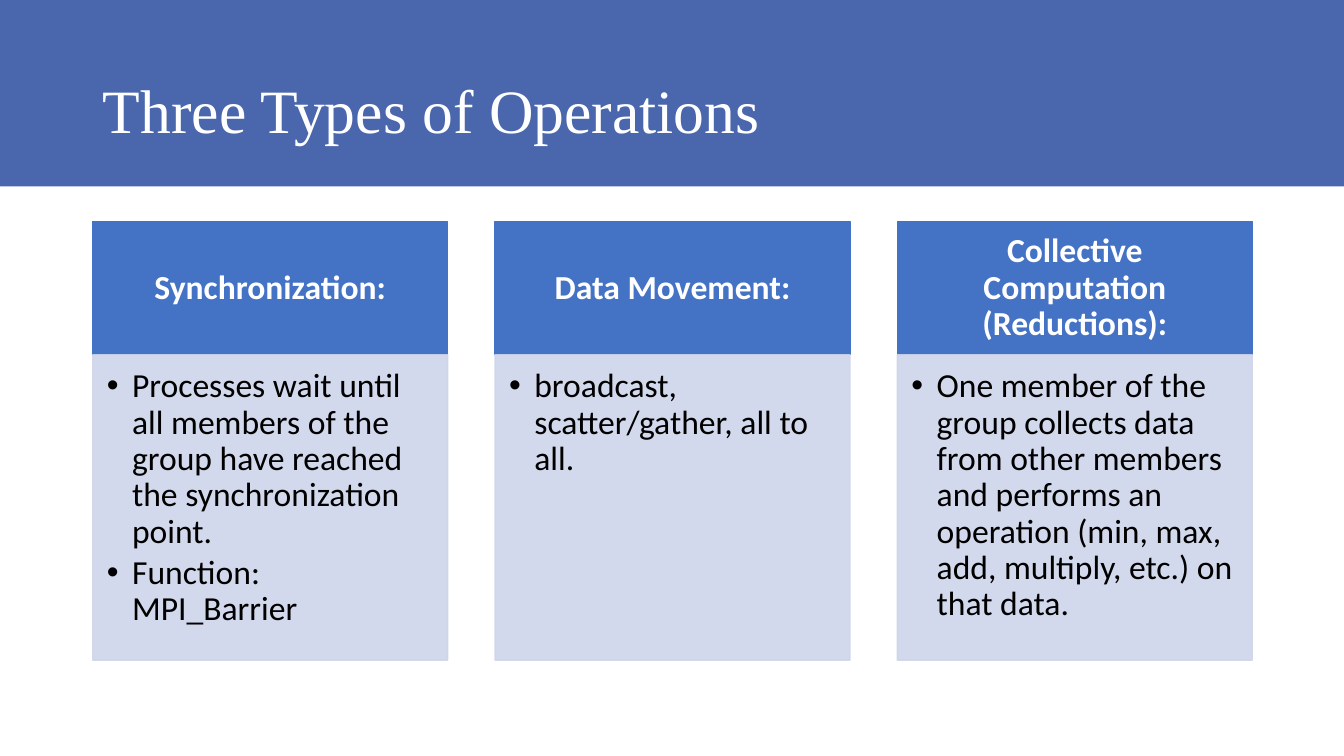
from lxml import etree
from pptx import Presentation
from pptx import util as u
from pptx.dml.color import RGBColor
from pptx.enum import shapes, text
from pptx.oxml import ns

COLORS = {"band": "4A66AC", "header": "4472C4", "panel": "CFD5EA",
          "light": "FFFFFF", "dark": "000000"}
LEFT, CONTENT_W, COLUMN_W = 0.92, 11.5, 3.52
HEADER_TOP, HEADER_H, PANEL_H = 2.2, 1.32, 3.03

TITLE_FONT = {"name": "Times New Roman", "size": u.Pt(44), "bold": False}
HEADER_FONT = {"name": "Calibri", "size": u.Pt(24), "bold": True}
LIST_FONT = {"name": "Calibri", "size": u.Pt(24), "bold": False}
TITLE_FRAME = {"word_wrap": True, "auto_size": text.MSO_AUTO_SIZE.NONE,
               "vertical_anchor": text.MSO_ANCHOR.MIDDLE}
HEADER_FRAME = {**TITLE_FRAME,
                "margin_left": u.Inches(0.19), "margin_right": u.Inches(0.19),
                "margin_top": u.Inches(0.11), "margin_bottom": u.Inches(0.11)}
LIST_FRAME = {"word_wrap": True, "vertical_anchor": text.MSO_ANCHOR.TOP,
              "margin_left": u.Inches(0.14), "margin_right": u.Inches(0.19),
              "margin_top": u.Inches(0.14), "margin_bottom": u.Inches(0.21)}
TITLE_PARA = {"alignment": text.PP_ALIGN.LEFT, "line_spacing": 0.9}
HEADER_PARA = {"alignment": text.PP_ALIGN.CENTER, "line_spacing": 0.9}
LIST_PARA = {"alignment": text.PP_ALIGN.LEFT, "line_spacing": 0.9,
             "space_after": u.Pt(3.6)}

COLUMNS = [
    ("Synchronization:",
     ["Processes wait until all members of the group have reached "
      "the synchronization point.",
      "Function: MPI_Barrier"]),
    ("Data Movement:",
     ["broadcast, scatter/gather, all to all."]),
    ("Collective Computation (Reductions):",
     ["One member of the group collects data from other members and performs "
      "an operation (min, max, add, multiply, etc.) on that data."]),
]


def apply(obj, values):
    for name, value in values.items():
        setattr(obj, name, value)


def rgb(key):
    return RGBColor.from_string(COLORS[key])


def add_bullet(p):
    pPr = p._p.get_or_add_pPr()
    pPr.set("marL", str(u.Inches(0.25)))
    pPr.set("indent", str(-u.Inches(0.25)))
    etree.SubElement(pPr, ns.qn("a:buFont")).set("typeface", "Arial")
    etree.SubElement(pPr, ns.qn("a:buChar")).set("char", "•")


def write(tf, lines, frame, para, font, color, bulleted=False):
    apply(tf, frame)
    for i, line in enumerate(lines):
        p = tf.paragraphs[0] if i == 0 else tf.add_paragraph()
        if bulleted:
            add_bullet(p)
        apply(p, para)
        r = p.add_run()
        r.text = line
        apply(r.font, font)
        r.font.color.rgb = rgb(color)


def add_rect(s, left, top, width, height, color, outlined=True, opacity=100):
    sp = s.shapes.add_shape(shapes.MSO_SHAPE.RECTANGLE, u.Inches(left),
                            u.Inches(top), u.Inches(width), u.Inches(height))
    sp.shadow.inherit = False
    sp.fill.solid()
    sp.fill.fore_color.rgb = rgb(color)
    if outlined:
        sp.line.color.rgb = rgb(color)
        sp.line.width = u.Pt(1)
    else:
        sp.line.fill.background()
    if opacity < 100:
        for clr in sp._element.spPr.iter(ns.qn("a:srgbClr")):
            etree.SubElement(clr, ns.qn("a:alpha")).set("val", str(opacity * 1000))
    return sp


def add_title(s, title):
    band = add_rect(s, 0, 0, 13.33, 1.85, "band", outlined=False)
    s.shapes.title._element.addprevious(band._element)
    apply(s.shapes.title, {"left": u.Inches(LEFT), "top": u.Inches(0.4),
                           "width": u.Inches(CONTENT_W), "height": u.Inches(1.45)})
    write(s.shapes.title.text_frame, [title], TITLE_FRAME, TITLE_PARA,
          TITLE_FONT, "light")


def add_column(s, left, heading, items):
    header = add_rect(s, left, HEADER_TOP, COLUMN_W, HEADER_H, "header")
    write(header.text_frame, [heading], HEADER_FRAME, HEADER_PARA,
          HEADER_FONT, "light")
    panel = add_rect(s, left, HEADER_TOP + HEADER_H, COLUMN_W, PANEL_H, "panel",
                     opacity=90)
    write(panel.text_frame, items, LIST_FRAME, LIST_PARA, LIST_FONT, "dark",
          bulleted=True)


def main():
    prs = Presentation()
    prs.slide_width, prs.slide_height = u.Inches(13.33), u.Inches(7.5)
    s = prs.slides.add_slide(prs.slide_layouts[5])
    add_title(s, "Three Types of Operations")
    pitch = (CONTENT_W - COLUMN_W) / (len(COLUMNS) - 1)
    for i, (heading, items) in enumerate(COLUMNS):
        add_column(s, LEFT + i * pitch, heading, items)
    prs.save("out.pptx")


if __name__ == "__main__":
    main()
